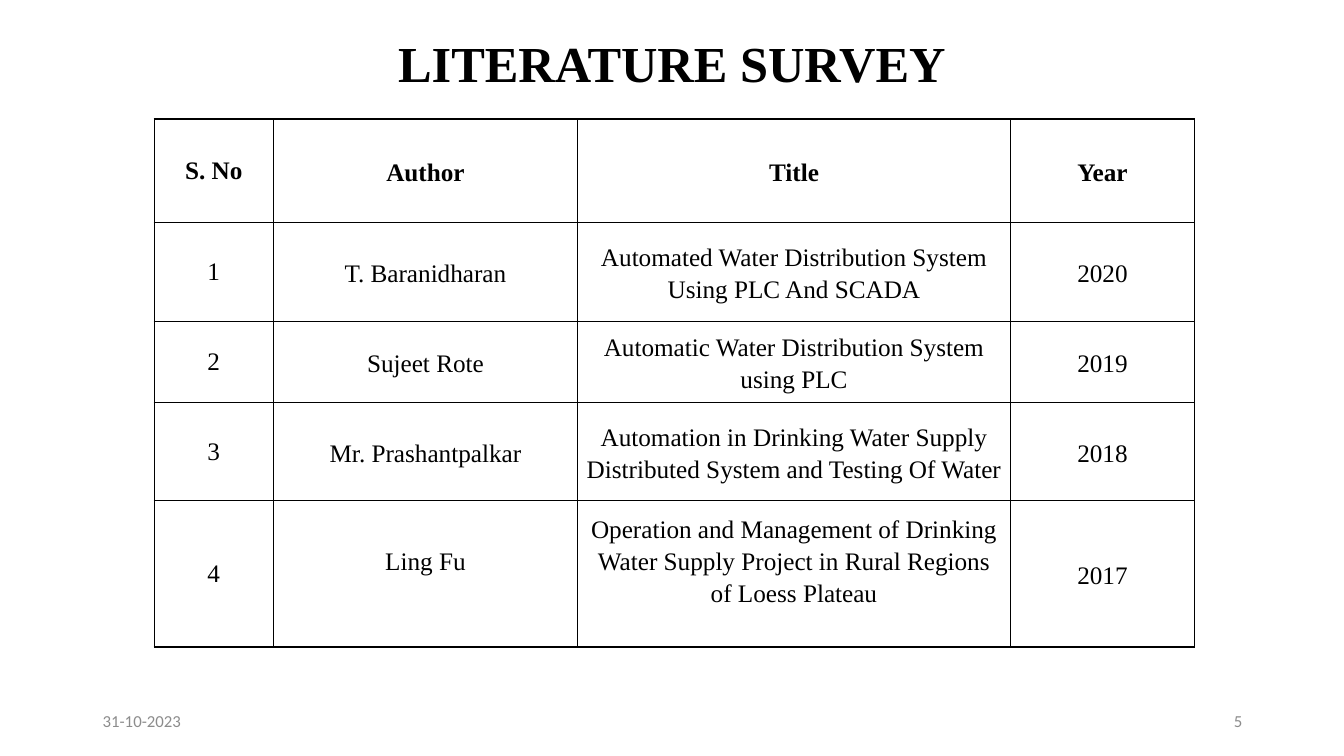
from typing import NamedTuple

from lxml import etree
from pptx import Presentation
from pptx import util as u
from pptx.dml.color import RGBColor
from pptx.enum import text
from pptx.oxml import ns

WIDTH, HEIGHT = u.Inches(13.33), u.Inches(7.5)
COLORS = {"ink": "000000", "muted": "8C8C8C", "paper": "FFFFFF"}
SERIF, SANS = "Times New Roman", "Calibri"
CENTER, LEFT, RIGHT = text.PP_ALIGN.CENTER, text.PP_ALIGN.LEFT, text.PP_ALIGN.RIGHT


class Style(NamedTuple):
    font: str
    size: int
    color: str
    bold: bool = False
    align: text.PP_ALIGN = CENTER
    spacing: float = 1.0


class Label(NamedTuple):
    wording: str
    left: float
    top: float
    width: float
    height: float
    style: Style


class Study(NamedTuple):
    number: str
    author: str
    title: str
    year: str


LABELS = [
    Label("LITERATURE SURVEY", 0, 0, 100, 17.6,
          Style(SERIF, 36, "ink", bold=True, spacing=0.9)),
    Label("31-10-2023", 6.9, 92.67, 22.5, 5.33, Style(SANS, 12, "muted", align=LEFT)),
    Label("5", 70.67, 92.67, 22.5, 5.33, Style(SANS, 12, "muted", align=RIGHT)),
]

STUDIES = [
    Study("S. No", "Author", "Title", "Year"),
    Study("1", "T. Baranidharan",
          "Automated Water Distribution System Using PLC And SCADA", "2020"),
    Study("2", "Sujeet Rote", "Automatic Water Distribution System using PLC", "2019"),
    Study("3", "Mr. Prashantpalkar",
          "Automation in Drinking Water Supply Distributed System and Testing Of Water",
          "2018"),
    Study("4", "Ling Fu",
          "Operation and Management of Drinking Water Supply Project in Rural Regions "
          "of Loess Plateau", "2017"),
]
SURVEY_LEFT, SURVEY_TOP = 11.48, 15.73
COLUMN_SHARES = [8.85, 22.66, 32.18, 13.73]
ROW_SHARES = [13.73, 13.07, 10.67, 13.07, 19.33]
RAISED = {(4, 1), (4, 2)}


def across(percent: float) -> int:
    """Turn a percentage of the slide width into a length."""
    return round(WIDTH * percent / 100)


def down(percent: float) -> int:
    """Turn a percentage of the slide height into a length."""
    return round(HEIGHT * percent / 100)


def write(frame, wording: str, style: Style) -> None:
    """Put styled wording into a text frame."""
    frame.text = wording
    paragraph = frame.paragraphs[0]
    paragraph.alignment = style.align
    paragraph.line_spacing = style.spacing
    for run in paragraph.runs:
        run.font.name = style.font
        run.font.size = u.Pt(style.size)
        run.font.bold = style.bold
        run.font.color.rgb = RGBColor.from_string(COLORS[style.color])


def add_label(slide, label: Label) -> None:
    """Draw one free-standing label."""
    frame = slide.shapes.add_textbox(across(label.left), down(label.top),
                                     across(label.width), down(label.height)).text_frame
    frame.word_wrap = True
    frame.vertical_anchor = text.MSO_ANCHOR.MIDDLE
    write(frame, label.wording, label.style)


def outline(cell) -> None:
    """Give a cell a thin line on every side."""
    properties = cell._tc.get_or_add_tcPr()
    for position, side in enumerate(("lnL", "lnR", "lnT", "lnB")):
        edge = etree.Element(ns.qn(f"a:{side}"), w=str(u.Pt(1)))
        fill = etree.SubElement(edge, ns.qn("a:solidFill"))
        etree.SubElement(fill, ns.qn("a:srgbClr"), val=COLORS["ink"])
        properties.insert(position, edge)


def add_survey(slide) -> None:
    """Draw the table of studies."""
    survey = slide.shapes.add_table(
        len(STUDIES), len(COLUMN_SHARES), across(SURVEY_LEFT), down(SURVEY_TOP),
        across(sum(COLUMN_SHARES)), down(sum(ROW_SHARES))).table
    survey.first_row = survey.horz_banding = False
    for column, share in zip(survey.columns, COLUMN_SHARES):
        column.width = across(share)
    for row, share in zip(survey.rows, ROW_SHARES):
        row.height = down(share)
    for r, study in enumerate(STUDIES):
        for c, wording in enumerate(study):
            cell = survey.cell(r, c)
            cell.vertical_anchor = text.MSO_ANCHOR.MIDDLE
            cell.fill.solid()
            cell.fill.fore_color.rgb = RGBColor.from_string(COLORS["paper"])
            if c:
                cell.margin_left = cell.margin_right = u.Inches(0.08)
                cell.margin_top = 0
                cell.margin_bottom = u.Inches(0.28) if (r, c) in RAISED else 0
            write(cell.text_frame, wording,
                  Style(SERIF, 18, "ink", bold=r == 0, spacing=1.15 if c else 1.0))
            outline(cell)


def main() -> None:
    """Build the slide and save it."""
    deck = Presentation()
    deck.slide_width, deck.slide_height = WIDTH, HEIGHT
    slide = deck.slides.add_slide(deck.slide_layouts[6])
    for label in LABELS:
        add_label(slide, label)
    add_survey(slide)
    deck.save("out.pptx")


if __name__ == "__main__":
    main()
